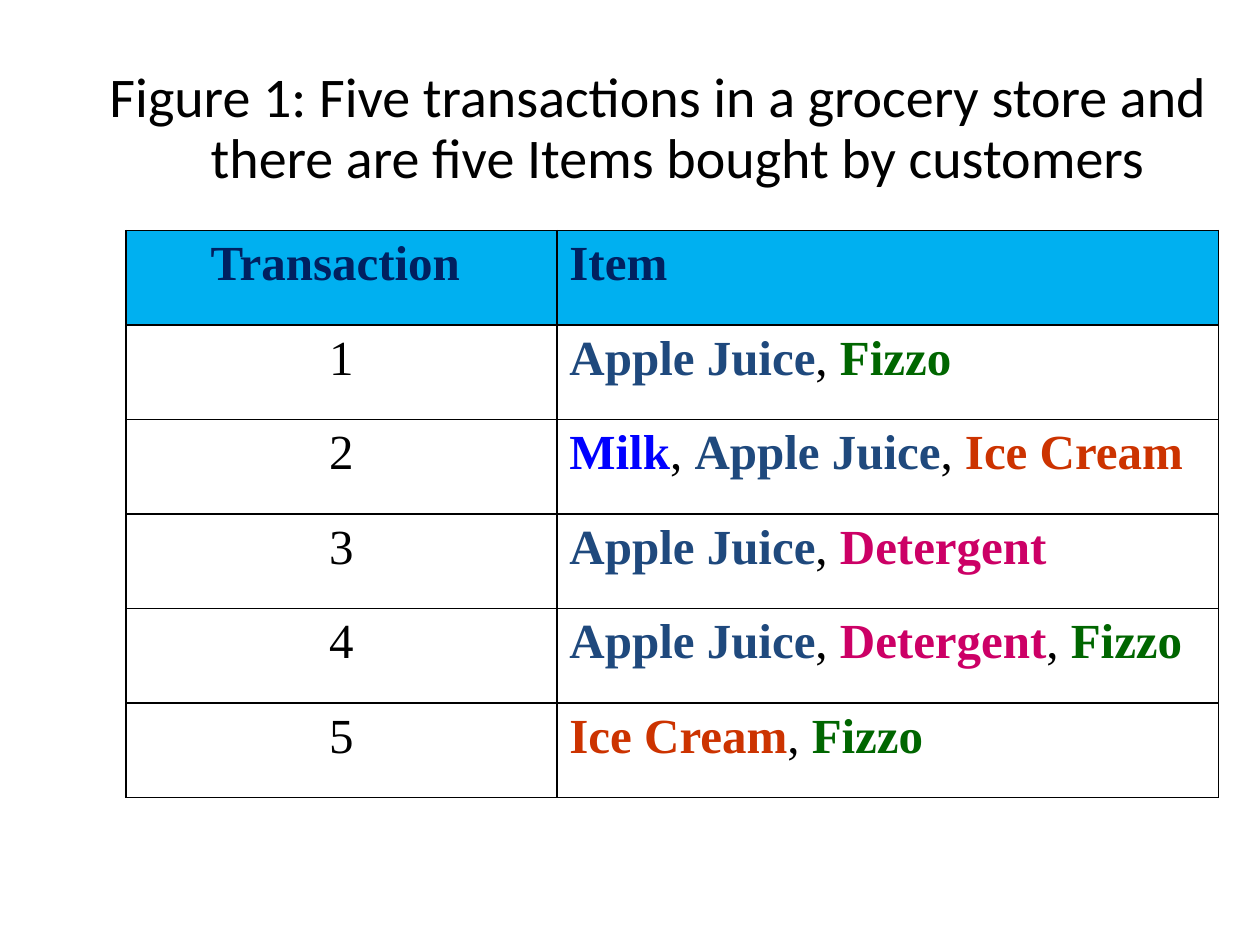
import pptx
import pptx.util
import pptx.dml.color
import pptx.enum.text
import pptx.oxml
import pptx.oxml.ns
from pptx.util import Inches

ALIGN = pptx.enum.text.PP_ALIGN
BLACK = "000000"
HEADER_TEXT = "002060"
HEADER_FILL = "00B0F0"
TABLE_FONT = "Times New Roman"

ITEM_COLORS = {
    "Apple Juice": "1F497D",
    "Fizzo": "006600",
    "Milk": "0000FF",
    "Ice Cream": "CC3300",
    "Detergent": "CC0066",
}
TRANSACTIONS = [
    ["Apple Juice", "Fizzo"],
    ["Milk", "Apple Juice", "Ice Cream"],
    ["Apple Juice", "Detergent"],
    ["Apple Juice", "Detergent", "Fizzo"],
    ["Ice Cream", "Fizzo"],
]


def rgb(color):
    return pptx.dml.color.RGBColor.from_string(color)


def add_run(p, text, font, size, color=BLACK, bold=False):
    r = p.add_run()
    r.text = text
    r.font.name = font
    r.font.size = pptx.util.Pt(size)
    r.font.bold = bold
    r.font.color.rgb = rgb(color)


def add_title(s, text):
    sp = s.shapes.title
    sp.left, sp.top = Inches(0.58), Inches(0.23)
    sp.width, sp.height = Inches(9.2), Inches(1.6)
    tf = sp.text_frame
    tf.word_wrap = True
    tf.auto_size = pptx.enum.text.MSO_AUTO_SIZE.NONE
    tf.vertical_anchor = pptx.enum.text.MSO_ANCHOR.MIDDLE
    p = tf.paragraphs[0]
    p.alignment = ALIGN.CENTER
    p.line_spacing = 0.9
    p.space_before = pptx.util.Pt(6)
    # Hanging indent
    pPr = p._p.get_or_add_pPr()
    pPr.set("marL", str(Inches(0.4)))
    pPr.set("indent", str(Inches(-0.31)))
    add_run(p, text, "Calibri", 32)


def set_borders(cell, color=BLACK, width=1):
    tcPr = cell._tc.get_or_add_tcPr()
    ns = pptx.oxml.ns.nsdecls("a")
    for i, side in enumerate(("lnL", "lnR", "lnT", "lnB")):
        ln = pptx.oxml.parse_xml(
            f'<a:{side} {ns} w="{pptx.util.Pt(width)}"><a:solidFill>'
            f'<a:srgbClr val="{color}"/></a:solidFill></a:{side}>'
        )
        tcPr.insert(i, ln)


def fill_cell(cell, runs, align, fill=None):
    """Write (text, color, bold) runs into a bordered cell."""
    if fill:
        cell.fill.solid()
        cell.fill.fore_color.rgb = rgb(fill)
    else:
        cell.fill.background()
    set_borders(cell)
    p = cell.text_frame.paragraphs[0]
    p.alignment = align
    for text, color, bold in runs:
        add_run(p, text, TABLE_FONT, 28, color, bold)


def item_runs(items):
    runs = []
    for item in items:
        if runs:
            runs.append((", ", BLACK, False))
        runs.append((item, ITEM_COLORS[item], True))
    return runs


def add_transaction_table(s):
    rows = len(TRANSACTIONS) + 1
    table = s.shapes.add_table(rows, 2, Inches(1), Inches(1.83),
                               Inches(8.67), Inches(0.75 * rows)).table
    table.columns[0].width = Inches(3.42)
    table.columns[1].width = Inches(5.25)

    # Header row
    headers = (("Transaction ", ALIGN.CENTER), ("Item", ALIGN.LEFT))
    for col, (text, align) in enumerate(headers):
        fill_cell(table.cell(0, col), [(text, HEADER_TEXT, True)], align, HEADER_FILL)

    # One row for each transaction
    for n, items in enumerate(TRANSACTIONS, start=1):
        fill_cell(table.cell(n, 0), [(str(n), BLACK, False)], ALIGN.CENTER)
        fill_cell(table.cell(n, 1), item_runs(items), ALIGN.LEFT)


def main():
    prs = pptx.Presentation()
    prs.slide_width, prs.slide_height = Inches(10), Inches(7.5)
    s = prs.slides.add_slide(prs.slide_layouts[5])
    add_title(s, "Figure 1: Five transactions in a grocery store and "
                 "there are five Items bought by customers")
    add_transaction_table(s)
    prs.save("out.pptx")


if __name__ == "__main__":
    main()
